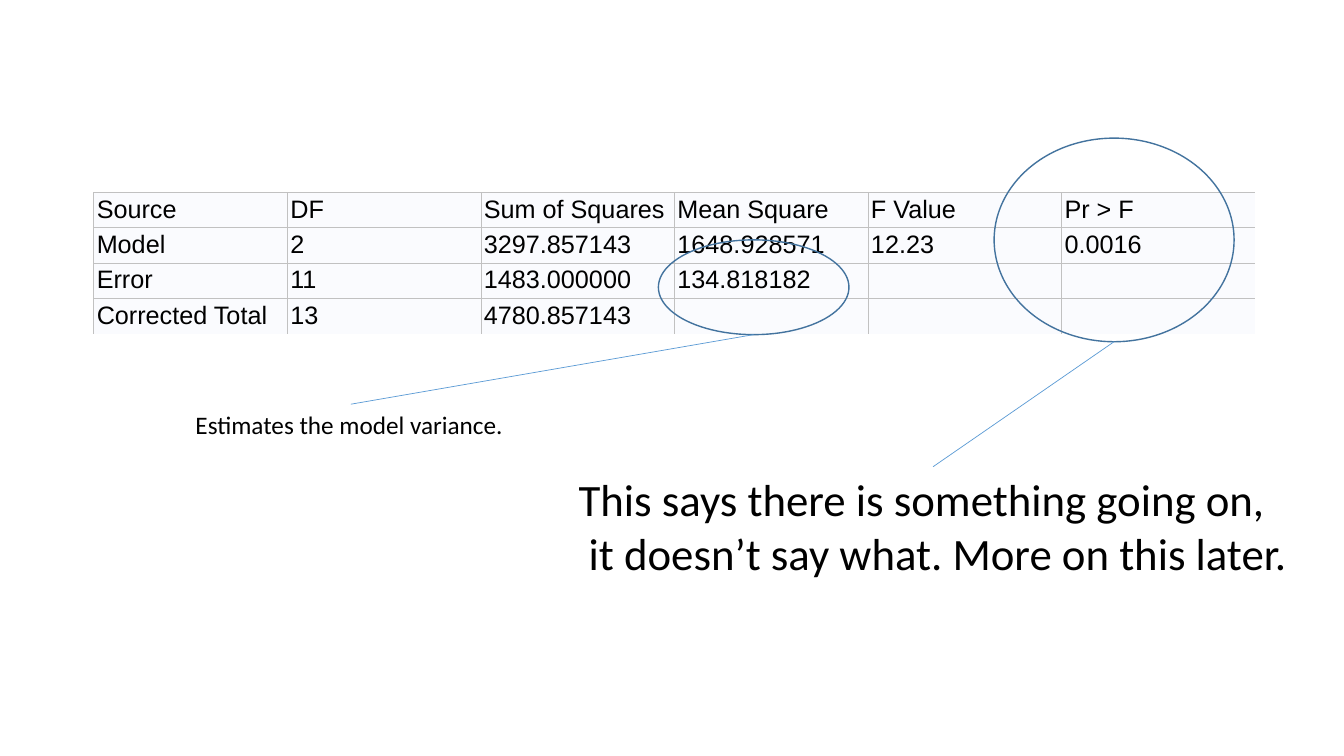
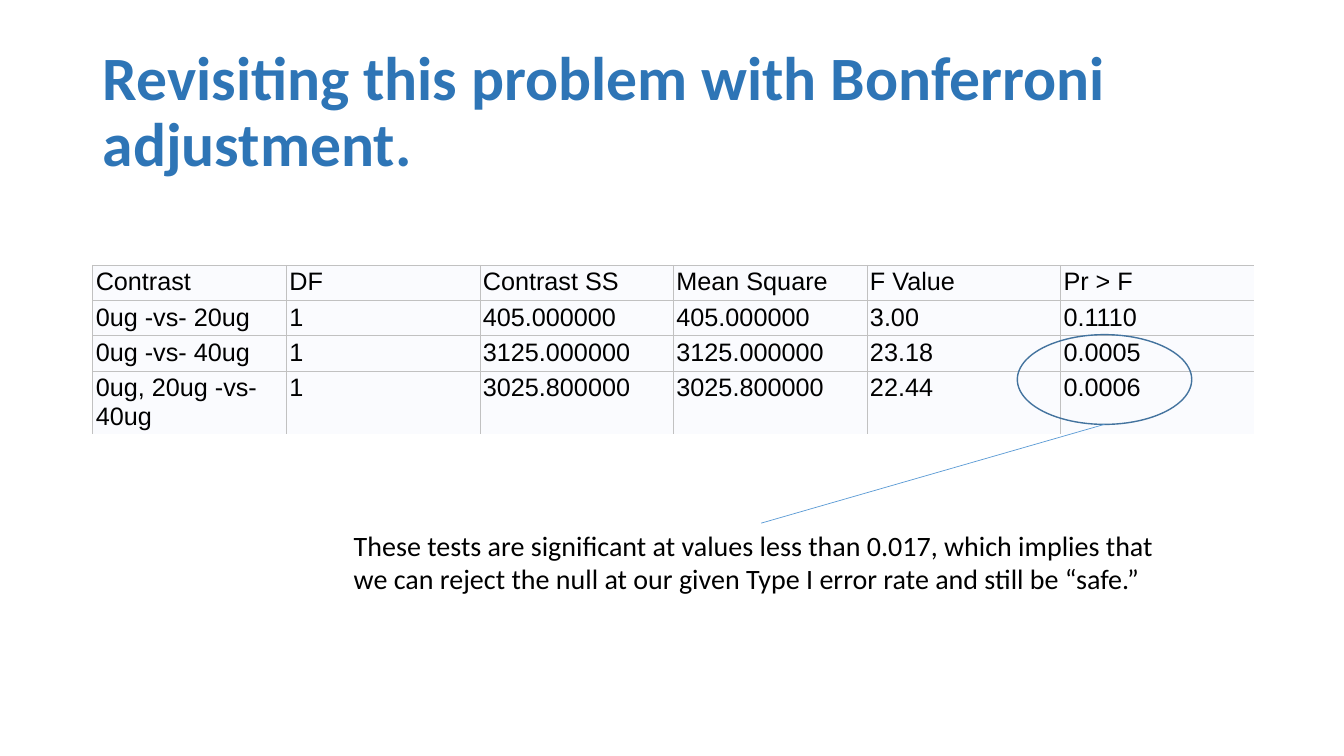
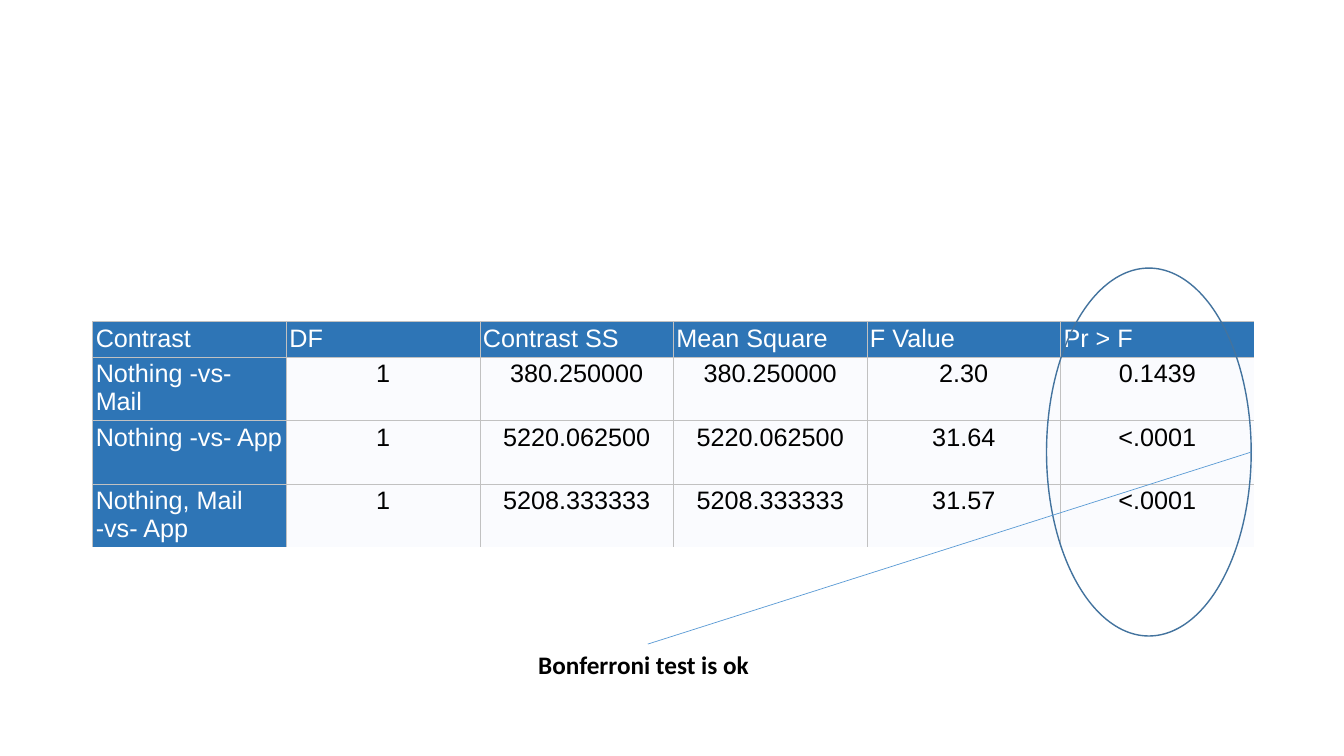
from dataclasses import dataclass
from lxml.etree import SubElement
from pptx import Presentation
from pptx.dml.color import RGBColor
from pptx.enum.shapes import MSO_CONNECTOR, MSO_SHAPE
from pptx.enum.text import MSO_ANCHOR, MSO_AUTO_SIZE, PP_ALIGN
from pptx.oxml.ns import qn
from pptx.util import Inches, Pt


@dataclass(frozen=True)
class Theme:
    ink: str = "000000"
    white: str = "FFFFFF"
    blue: str = "2E75B6"
    pale: str = "FAFBFE"
    grid: str = "C1C1C1"
    ring: str = "43739E"
    link: str = "5B9BD5"
    font: str = "Calibri"
    data: str = "Arial"
    head: int = 44
    large: int = 32
    mid: int = 20
    small: int = 18
    hair: float = 0.5


BLANK, TITLE = 6, 5
COL, PAD = 1.92, 0.03
ONE, TWO = 0.35, 0.63  # height of a row with one or two lines


class Deck:
    def __init__(self, theme):
        self.theme = theme
        self.prs = Presentation()
        self.prs.slide_width = Inches(13.33)
        self.prs.slide_height = Inches(7.5)
        self.slide = None

    def page(self, layout=BLANK):
        self.slide = self.prs.slides.add_slide(self.prs.slide_layouts[layout])

    def style(self, para, size, color, font=None, bold=False):
        for run in para.runs or [para.add_run()]:
            run.font.name = font or self.theme.font
            run.font.size = Pt(size)
            run.font.bold = bold
            run.font.color.rgb = RGBColor.from_string(color)

    def title(self, text):
        shape = self.slide.shapes.title
        shape.left, shape.top = Inches(0.92), Inches(0.4)
        shape.width, shape.height = Inches(11.5), Inches(1.45)
        frame = shape.text_frame
        frame.text = text
        frame.word_wrap = True
        frame.auto_size = MSO_AUTO_SIZE.NONE
        frame.vertical_anchor = MSO_ANCHOR.MIDDLE
        para = frame.paragraphs[0]
        para.alignment = PP_ALIGN.LEFT
        para.line_spacing = 0.9
        self.style(para, self.theme.head, self.theme.blue, bold=True)

    def edge(self, cell, side, shown):
        line = SubElement(cell._tc.get_or_add_tcPr(), qn(f"a:ln{side}"),
                          w=str(Pt(self.theme.hair)))
        if shown:
            fill = SubElement(line, qn("a:solidFill"))
            SubElement(fill, qn("a:srgbClr"), val=self.theme.grid)
        else:
            SubElement(line, qn("a:noFill"))

    def table(self, left, top, rows, highs, vivid=False):
        """Vivid tables have blue headings and centred values."""
        theme, wide = self.theme, len(rows[0])
        table = self.slide.shapes.add_table(
            len(rows), wide, Inches(left), Inches(top),
            Inches(COL * wide), Inches(sum(highs))).table
        table.first_row = table.horz_banding = False
        for col in table.columns:
            col.width = Inches(COL)
        for r, (row, high) in enumerate(zip(rows, highs)):
            table.rows[r].height = Inches(high)
            for c, text in enumerate(row):
                cell = table.cell(r, c)
                cell.margin_left = cell.margin_right = Inches(PAD)
                cell.margin_top = cell.margin_bottom = Inches(PAD)
                # The right and bottom rims of the table stay open
                self.edge(cell, "L", True)
                self.edge(cell, "R", c < wide - 1)
                self.edge(cell, "T", True)
                self.edge(cell, "B", r < len(rows) - 1)
                head = vivid and (r == 0 or c == 0)
                cell.fill.solid()
                cell.fill.fore_color.rgb = RGBColor.from_string(
                    theme.blue if head else theme.pale)
                para = cell.text_frame.paragraphs[0]
                para.text = text
                if vivid and not head:
                    para.alignment = PP_ALIGN.CENTER
                self.style(para, theme.small,
                           theme.white if head else theme.ink, theme.data)

    def ring(self, *box):
        shape = self.slide.shapes.add_shape(MSO_SHAPE.OVAL, *map(Inches, box))
        shape.shadow.inherit = False
        shape.fill.background()
        shape.line.color.rgb = RGBColor.from_string(self.theme.ring)
        shape.line.width = Pt(1)
        return shape

    def note(self, box, text, size, bold=False):
        shape = self.slide.shapes.add_textbox(*map(Inches, box))
        frame = shape.text_frame
        frame.text = text
        frame.word_wrap = False
        frame.auto_size = MSO_AUTO_SIZE.SHAPE_TO_FIT_TEXT
        for para in frame.paragraphs:
            self.style(para, size, self.theme.ink, bold=bold)
        return shape

    def link(self, note, ring, side=False):
        """Join the top of a note to the foot or right side of a ring."""
        if side:
            end = ring.left + ring.width, ring.top + ring.height // 2
        else:
            end = ring.left + ring.width // 2, ring.top + ring.height
        line = self.slide.shapes.add_connector(
            MSO_CONNECTOR.STRAIGHT, note.left + note.width // 2, note.top, *end)
        line.line.color.rgb = RGBColor.from_string(self.theme.link)
        line.line.width = Pt(self.theme.hair)
        SubElement(line._element.spPr, qn("a:effectLst"))


theme = Theme()
deck = Deck(theme)
TESTS = ["Mean Square", "F Value", "Pr\u00a0>\u00a0F"]
HEADS = ["Contrast", "DF", "Contrast SS"] + TESTS

# Slide 1: analysis of variance
deck.page()
deck.table(0.93, 1.91, [
    ["Source", "DF", "Sum of Squares"] + TESTS,
    ["Model", "2", "3297.857143", "1648.928571", "12.23", "0.0016"],
    ["Error", "11", "1483.000000", "134.818182", "", ""],
    ["Corrected Total", "13", "4780.857143", "", "", ""],
], [ONE] * 4)
ring = deck.ring(9.86, 1.37, 2.38, 2.02)
note = deck.note((5.64, 4.63, 7.23, 1.18),
                 "This says there is something going on,\n"
                 " it doesn’t say what. More on this later.", theme.large)
deck.link(note, ring)
ring = deck.ring(6.53, 2.38, 1.89, 0.94)
note = deck.note((1.84, 4.01, 3.28, 0.4),
                 "Estimates the model variance.", theme.small)
deck.link(note, ring)

# Slide 2: dose contrasts
deck.page(TITLE)
deck.title("Revisiting this problem with Bonferroni adjustment.")
deck.table(0.92, 2.63, [
    HEADS,
    ["0ug -vs- 20ug", "1", "405.000000", "405.000000", "3.00", "0.1110"],
    ["0ug -vs- 40ug", "1", "3125.000000", "3125.000000", "23.18", "0.0005"],
    ["0ug, 20ug -vs- 40ug", "1", "3025.800000", "3025.800000", "22.44",
     "0.0006"],
], [ONE] * 3 + [TWO])
ring = deck.ring(10.09, 3.32, 1.73, 0.89)
note = deck.note((3.41, 5.19, 8.28, 0.77),
                 "These tests are significant at values less than 0.017, "
                 "which implies that \nwe can reject the null at our given "
                 "Type I error rate and still be “safe.”", theme.mid)
deck.link(note, ring)

# Slide 3: mail and app contrasts
deck.page()
deck.table(0.92, 3.19, [
    HEADS,
    ["Nothing -vs- Mail", "1", "380.250000", "380.250000", "2.30", "0.1439"],
    ["Nothing -vs- App", "1", "5220.062500", "5220.062500", "31.64", "<.0001"],
    ["Nothing, Mail -vs- App", "1", "5208.333333", "5208.333333", "31.57",
     "<.0001"],
], [ONE] + [TWO] * 3, vivid=True)
ring = deck.ring(10.38, 2.66, 2.03, 3.65)
note = deck.note((5.24, 6.39, 2.37, 0.4), "Bonferroni test is ok ",
                 theme.small, bold=True)
deck.link(note, ring, side=True)

deck.prs.save("out.pptx")
